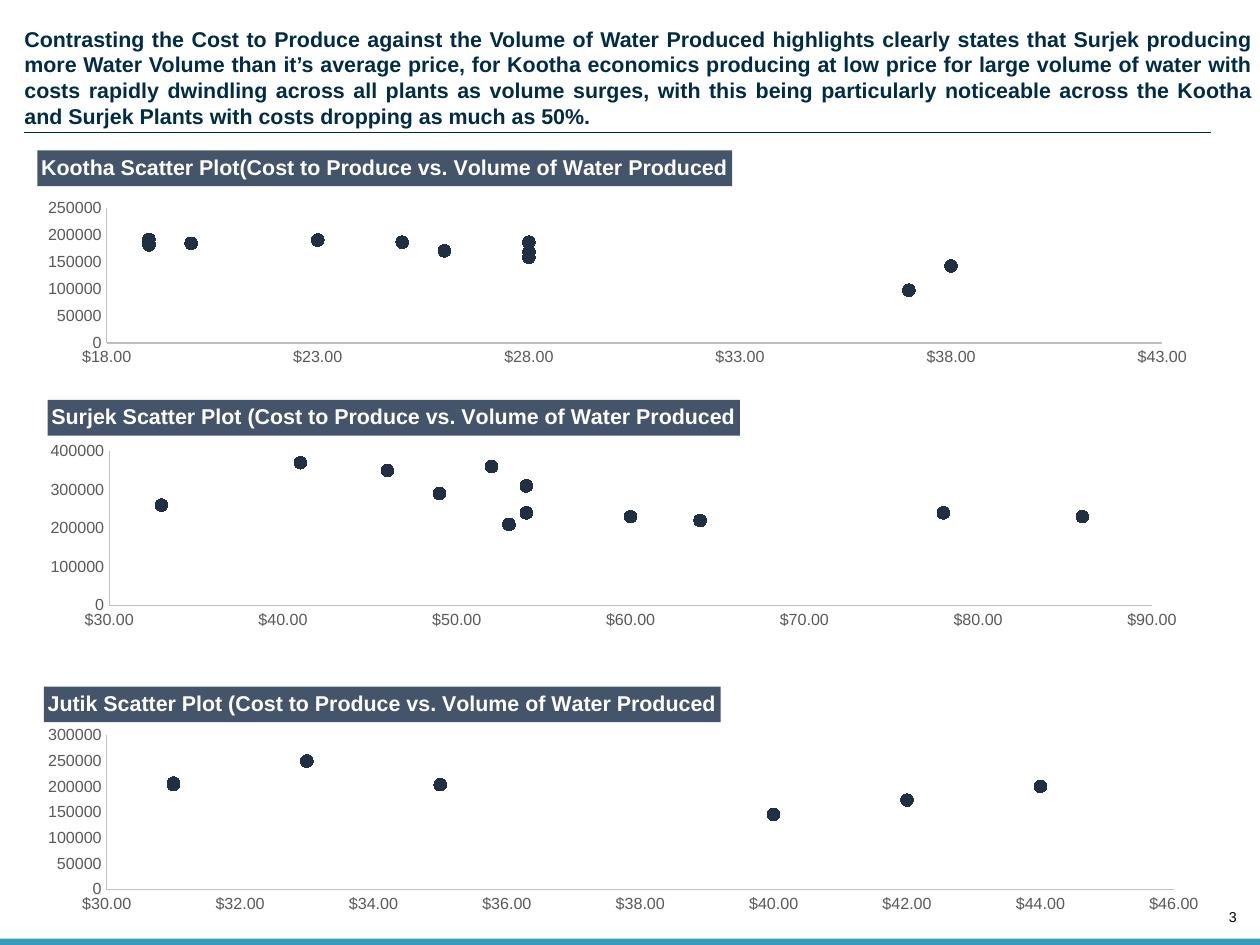
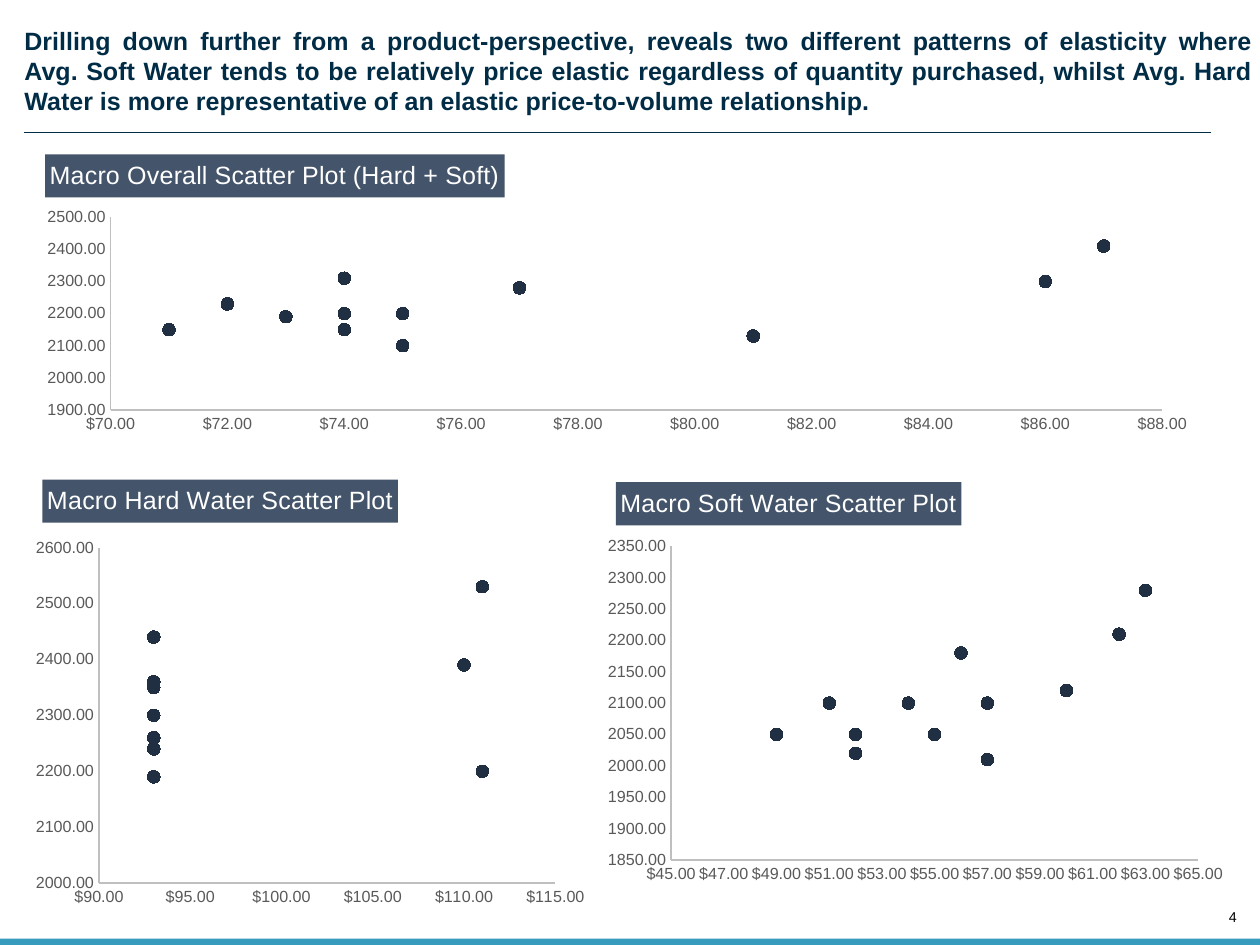
from lxml.etree import SubElement
from pptx import Presentation
from pptx.chart.data import XyChartData
from pptx.dml.color import RGBColor
from pptx.enum.chart import XL_CHART_TYPE, XL_MARKER_STYLE, XL_TICK_MARK
from pptx.enum.shapes import MSO_CONNECTOR, MSO_SHAPE
from pptx.enum.text import MSO_ANCHOR, PP_ALIGN
from pptx.oxml import parse_xml
from pptx.oxml.ns import nsdecls, qn
from pptx.util import Inches, Pt

FONT = "Arial"
NAVY, BAND, LABEL = "002C46", "379BBD", "44546A"
DOT, AXIS, TICK, WHITE, BLACK = "203042", "BFBFBF", "595959", "FFFFFF", "000000"
DOLLARS = '"$"#,##0.00'

PLANTS = dict(
    number="3", size=12, height=0.81,
    title="Contrasting the Cost to Produce against the Volume of Water Produced highlights "
          "clearly states that Surjek producing more Water Volume than it’s average price, for "
          "Kootha economics producing at low price for large volume of water with costs rapidly "
          "dwindling across all plants as volume surges, with this being particularly noticeable "
          "across the Kootha and Surjek Plants with costs dropping as much as 50%.",
    label=dict(size=12, bold=True), y_format="General",
    charts=[
        dict(title="Kootha Scatter Plot(Cost to Produce vs. Volume of Water Produced",
             at=(0.19, 1.14, 9.23, 1.75), label_at=(0.29, 1.17), plot=(0.83, 1.62, 8.21, 1.05),
             x_scale=(18, 43, 5), y_scale=(0, 250000, 50000),
             points=[(19, 182000), (25, 187000), (20, 185000), (19, 192000),
                     (37, 98000), (19, 185000), (28, 187000), (28, 159000),
                     (23, 191000), (26, 171000), (28, 169000), (38, 143000)]),
        dict(title="Surjek Scatter Plot (Cost to Produce vs. Volume of Water Produced",
             at=(0.21, 3.03, 9.13, 1.91), label_at=(0.37, 3.11), plot=(0.85, 3.51, 8.11, 1.2),
             x_scale=(30, 90, 10), y_scale=(0, 400000, 100000),
             points=[(53, 210000), (60, 230000), (64, 220000), (78, 240000),
                     (86, 230000), (54, 240000), (49, 290000), (54, 310000),
                     (41, 370000), (46, 350000), (52, 360000), (33, 260000)]),
        dict(title="Jutik Scatter Plot (Cost to Produce vs. Volume of Water Produced",
             at=(0.19, 5.24, 9.32, 1.91), label_at=(0.34, 5.34), plot=(0.83, 5.72, 8.3, 1.2),
             x_scale=(30, 46, 2), y_scale=(0, 300000, 50000),
             points=[(None, None)] * 5 + [
                 (33, 250000), (31, 207000), (44, 201000), (42, 174000),
                 (31, 204000), (40, 146000), (35, 204000)]),
    ])

PRODUCTS = dict(
    number="4", size=14, height=0.71,
    title="Drilling down further from a product-perspective, reveals two different patterns of "
          "elasticity where\vAvg. Soft Water tends to be relatively price elastic regardless of "
          "quantity purchased, whilst Avg. Hard Water is more representative of an elastic "
          "price-to-volume relationship.",
    label=dict(size=14, bold=False), y_format="0.00",
    charts=[
        dict(title="Macro Overall Scatter Plot (Hard + Soft)",
             at=(0.19, 1.15, 9.23, 2.27), label_at=(0.35, 1.2), plot=(0.86, 1.69, 8.18, 1.5),
             x_scale=(70, 88, 2), y_scale=(1900, 2500, 100),
             points=[(86, 2300), (87, 2410), (81, 2130), (73, 2190), (71, 2150), (72, 2230),
                     (77, 2280), (75, 2200), (74, 2150), (75, 2100), (74, 2200), (74, 2310)]),
        dict(title="Macro Hard Water Scatter Plot",
             at=(0.19, 3.68, 4.44, 3.44), label_at=(0.33, 3.73), plot=(0.77, 4.26, 3.55, 2.61),
             x_scale=(90, 115, 5), y_scale=(2000, 2600, 100),
             points=[(110, 2390), (111, 2530), (111, 2200), (93, 2350), (93, 2240), (93, 2360),
                     (93, 2440), (93, 2300), (93, 2260), (93, 2190), (93, 2300), (93, 2440)]),
        dict(title="Macro Soft Water Scatter Plot",
             at=(4.63, 3.68, 4.98, 3.27), label_at=(4.79, 3.75), plot=(5.22, 4.25, 4.1, 2.44),
             x_scale=(45, 65, 2), y_scale=(1850, 2350, 50),
             points=[(62, 2210), (63, 2280), (52, 2050), (52, 2020), (49, 2050), (51, 2100),
                     (60, 2120), (57, 2100), (55, 2050), (57, 2010), (54, 2100), (56, 2180)]),
    ])


def rgb(color):
    """Turn a hex string into a colour."""
    return RGBColor.from_string(color)


def set_all(target, **values):
    """Set each named attribute on the target."""
    for name, value in values.items():
        setattr(target, name, value)


def set_font(font, size, color, bold=False):
    """Apply the shared typeface with size, colour and weight."""
    set_all(font, name=FONT, size=Pt(size), bold=bold)
    font.color.rgb = rgb(color)


def add_text(s, box, text, size, color, align, bold=False, **frame):
    """Add a text box without margins."""
    tf = s.shapes.add_textbox(*map(Inches, box)).text_frame
    set_all(tf, margin_left=0, margin_right=0, margin_top=0, margin_bottom=0, **frame)
    p = tf.paragraphs[0]
    set_all(p, text=text, alignment=align)
    for r in p.runs:
        set_font(r.font, size, color, bold)


def add_frame(s, number, title, size, height):
    """Add the headline, rule, bottom band and page number."""
    add_text(s, (9.48, 7.07, 0.14, 0.13), number, 8, BLACK, PP_ALIGN.RIGHT,
             vertical_anchor=MSO_ANCHOR.BOTTOM, word_wrap=True)
    band = s.shapes.add_shape(MSO_SHAPE.RECTANGLE, *map(Inches, (0, 7.3, 9.8, 0.05)))
    band.shadow.inherit = False
    band.fill.solid()
    band.fill.fore_color.rgb = rgb(BAND)
    band.line.fill.background()
    add_text(s, (0.19, 0.2, 9.56, height), title, size, NAVY, PP_ALIGN.JUSTIFY,
             bold=True, word_wrap=True)
    rule = s.shapes.add_connector(MSO_CONNECTOR.STRAIGHT, *map(Inches, (0.19, 1.03, 9.42, 1.03)))
    rule.line.color.rgb = rgb(NAVY)
    rule.line.width = Pt(0.75)
    SubElement(rule._element.spPr, qn("a:effectLst"))


def set_layout(parent, index, at, place, inner=False):
    """Pin a chart part to a place given in slide inches."""
    for old in parent.findall(qn("c:layout")):
        parent.remove(old)
    left, top, width, height = at
    values = [("layoutTarget", "inner")] if inner else []
    values += [("xMode", "edge"), ("yMode", "edge")]
    fractions = ((place[0] - left) / width, (place[1] - top) / height,
                 *(size / whole for size, whole in zip(place[2:], (width, height))))
    values += [(name, f"{value:.4f}") for name, value in zip("xywh", fractions)]
    tags = "".join(f'<c:{name} val="{value}"/>' for name, value in values)
    parent.insert(index, parse_xml(
        f'<c:layout {nsdecls("c")}><c:manualLayout>{tags}</c:manualLayout></c:layout>'))


def drop_gaps(plot_area):
    """Remove cached points that hold no value."""
    for pt in list(plot_area.iter(qn("c:pt"))):
        if pt.findtext(qn("c:v")) in ("None", "", None):
            pt.getparent().remove(pt)


def style_axis(axis, scale, number_format):
    """Set the scale, labels and line of an axis."""
    low, high, step = scale
    set_all(axis, minimum_scale=low, maximum_scale=high, major_unit=step,
            has_major_gridlines=False, major_tick_mark=XL_TICK_MARK.NONE,
            minor_tick_mark=XL_TICK_MARK.NONE)
    set_all(axis.tick_labels, number_format=number_format, number_format_is_linked=False)
    set_font(axis.tick_labels.font, 9, TICK)
    axis.format.line.color.rgb = rgb(AXIS)
    axis.format.line.width = Pt(0.75)


def add_scatter(s, label, y_format, title, at, label_at, plot, x_scale, y_scale, points):
    """Add a scatter chart with a filled title label."""
    data = XyChartData()
    series = data.add_series("Series 1")
    for x, y in points:
        series.add_data_point(x, y)
    chart = s.shapes.add_chart(XL_CHART_TYPE.XY_SCATTER, *map(Inches, at), data).chart
    chart.has_legend = False
    set_font(chart.font, 10, BLACK)
    style_axis(chart.category_axis, x_scale, DOLLARS)
    style_axis(chart.value_axis, y_scale, y_format)

    heading = chart.chart_title
    p = heading.text_frame.paragraphs[0]
    r = p.add_run()
    r.text = title
    set_font(r.font, color=WHITE, **label)
    heading.format.fill.solid()
    heading.format.fill.fore_color.rgb = rgb(LABEL)
    set_layout(heading._element, 1, at, label_at)
    plot_area = chart._chartSpace.chart.plotArea
    set_layout(plot_area, 0, at, plot, inner=True)
    drop_gaps(plot_area)

    chart.plots[0].vary_by_categories = False
    dots = chart.plots[0].series[0]
    dots.smooth = False
    dots.format.line.fill.background()
    set_all(dots.marker, style=XL_MARKER_STYLE.CIRCLE, size=7)
    dots.marker.format.fill.solid()
    dots.marker.format.fill.fore_color.rgb = rgb(DOT)
    dots.marker.format.line.color.rgb = rgb(DOT)


def main():
    """Build both slides and save the presentation."""
    prs = Presentation()
    set_all(prs, slide_width=Inches(9.8), slide_height=Inches(7.35))
    for page in (PLANTS, PRODUCTS):
        s = prs.slides.add_slide(prs.slide_layouts[6])
        add_frame(s, page["number"], page["title"], page["size"], page["height"])
        for chart in page["charts"]:
            add_scatter(s, page["label"], page["y_format"], **chart)
    prs.save("out.pptx")


main()
